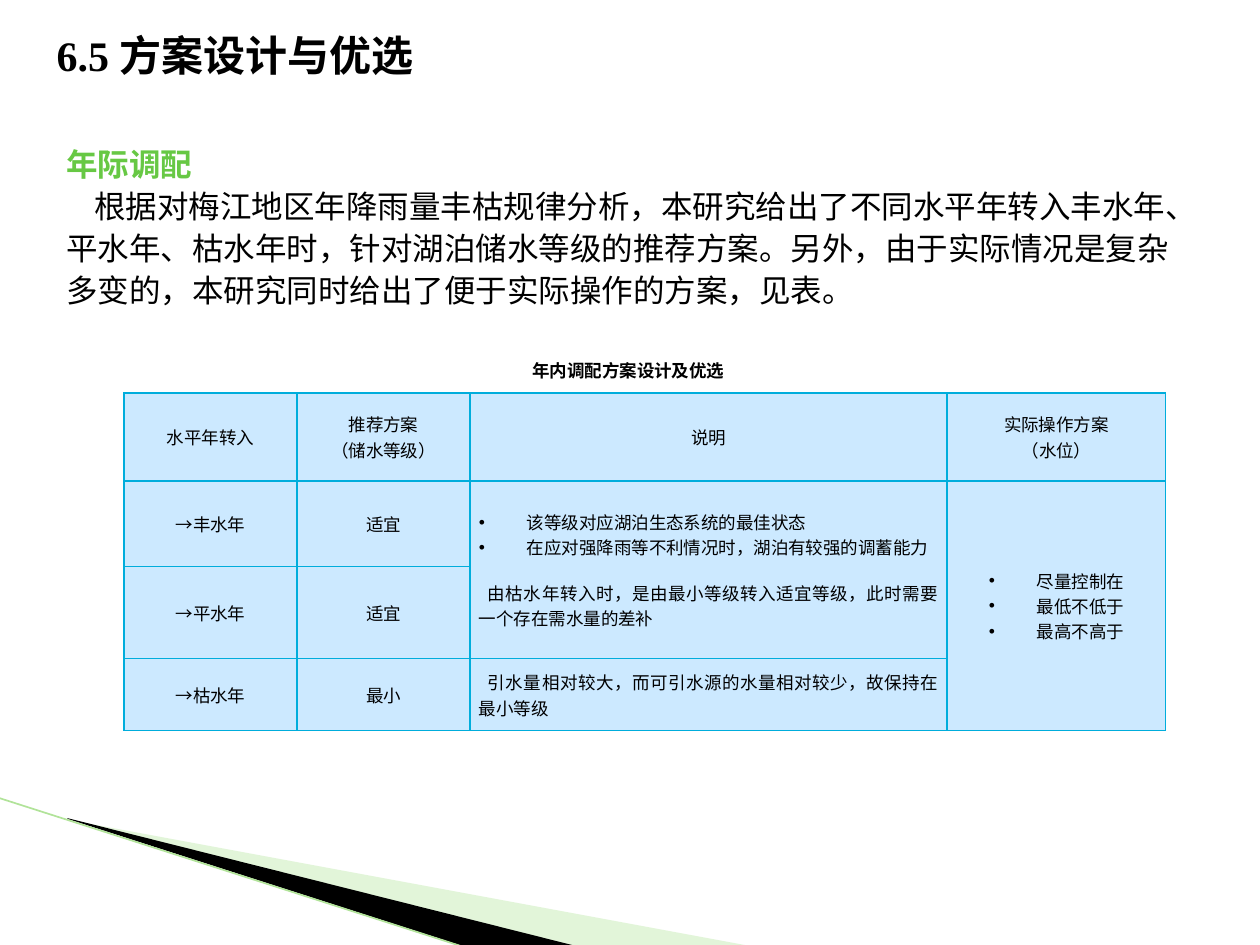
import pptx
import pptx.util
import pptx.dml.color
import pptx.enum.text
import pptx.oxml
import pptx.oxml.ns
from lxml import etree

RGB = pptx.dml.color.RGBColor
ALIGN = pptx.enum.text.PP_ALIGN
MID = pptx.enum.text.MSO_ANCHOR.MIDDLE
Pt = pptx.util.Pt
qn = pptx.oxml.ns.qn

SCALE = 914400 / 126
BLACK = RGB(0, 0, 0)
GREEN = RGB(0x67, 0xC8, 0x44)
PALE = RGB(0xB8, 0xE7, 0xA1)
EDGE = RGB(0xB1, 0xE3, 0x99)
CELL = RGB(0xCC, 0xE9, 0xFF)
RULE = RGB(0x00, 0xAD, 0xDC)
CJK = "Noto Sans CJK SC"


def px(n):
    return round(n * SCALE)


def style(para, size, face, color=BLACK, bold=False):
    for run in para.runs:
        font = run.font
        font.size, font.name, font.bold = Pt(size), face, bold
        font.color.rgb = color
        east = etree.Element(qn("a:ea"), typeface=CJK)
        run._r.rPr.find(qn("a:latin")).addnext(east)


def indent(para, left, first):
    props = para._p.get_or_add_pPr()
    props.set("marL", str(px(left)))
    props.set("indent", str(px(first)))
    return props


def bullet(para):
    props = indent(para, 48, -48)
    etree.SubElement(props, qn("a:buFont"), typeface="Arial")
    etree.SubElement(props, qn("a:buChar"), char="•")
    tabs = etree.SubElement(props, qn("a:tabLst"))
    etree.SubElement(tabs, qn("a:tab"), pos=str(px(10)), algn="l")


# Corner wedges and the thin line beside them
def wedge(slide, x, y, points, color, alpha=None):
    build = slide.shapes.build_freeform(0, 0, scale=SCALE)
    build = slide.shapes.build_freeform(x, y, scale=SCALE)
    build.add_line_segments([(x + dx, y + dy) for dx, dy in points])
    shape = build.convert_to_shape()
    shape.shadow.inherit = False
    shape.fill.solid()
    shape.fill.fore_color.rgb = color
    shape.line.fill.background()
    if alpha:
        tint = shape.fill._xPr.find(".//" + qn("a:srgbClr"))
        etree.SubElement(tint, qn("a:alpha"), val=str(alpha * 1000))


def corner(slide, x, y):
    wedge(slide, x + 70, y + 22, [(681, 126), (506, 126), (0, -1)], PALE, 40)
    wedge(slide, x + 68, y + 20, [(509, 128), (402, 130), (1, 1)], BLACK)
    line = slide.shapes.add_connector(1, px(x), px(y), px(x + 468), px(y + 150))
    line.line.color.rgb = EDGE
    line.line.width = Pt(0.95)
    etree.SubElement(line._element.spPr, qn("a:effectLst"))


def heading(slide, x, y, w, h):
    title = slide.shapes.title
    title.left, title.top, title.width, title.height = map(px, (x, y, w, h))
    frame = title.text_frame
    frame.text = "6.5 方案设计与优选"
    frame.vertical_anchor = MID
    para = frame.paragraphs[0]
    para.alignment = ALIGN.LEFT
    style(para, 24, "Times New Roman", bold=True)


def intro(slide, x, y, w, h):
    frame = slide.shapes.add_textbox(px(x), px(y), px(w), px(h)).text_frame
    frame.word_wrap = True
    frame.text = (
        "年际调配\n"
        "根据对梅江地区年降雨量丰枯规律分析，本研究给出了不同水平年转入丰水年、"
        "平水年、枯水年时，针对湖泊储水等级的推荐方案。另外，由于实际情况是"
        "复杂多变的，本研究同时给出了便于实际操作的方案，见表。"
    )
    head, body = frame.paragraphs
    head.line_spacing = body.line_spacing = Pt(24)
    style(head, 18, CJK, GREEN, True)
    indent(body, 0, 28)
    style(body, 18, CJK)


def caption(slide, x, y, w, h):
    frame = slide.shapes.add_textbox(px(x), px(y), px(w), px(h)).text_frame
    frame.word_wrap = False
    frame.text = "年内调配方案设计及优选"
    style(frame.paragraphs[0], 10, "Arial", bold=True)


def border(cell):
    props = cell._tc.get_or_add_tcPr()
    for spot, side in enumerate(("lnL", "lnR", "lnT", "lnB")):
        line = etree.Element(qn("a:" + side), w=str(Pt(0.75)))
        fill = etree.SubElement(line, qn("a:solidFill"))
        etree.SubElement(fill, qn("a:srgbClr"), val=str(RULE))
        props.insert(spot, line)


# Lines starting with * are bullets, with > are indented notes
def fill(cell, text):
    marks = [row[0] for row in text.split("\n")] if text else []
    cell.text_frame.text = "\n".join(row.lstrip("*>") for row in text.split("\n"))
    cell.vertical_anchor = MID
    cell.margin_left = cell.margin_right = px(9)
    cell.margin_top = cell.margin_bottom = 0
    cell.fill.solid()
    cell.fill.fore_color.rgb = CELL
    border(cell)
    for spot, (para, mark) in enumerate(zip(cell.text_frame.paragraphs, marks)):
        para.alignment = ALIGN.JUSTIFY if ">" in marks else ALIGN.CENTER
        if mark == "*":
            bullet(para)
        elif mark == ">":
            indent(para, 0, 9)
            if spot:
                para.space_before = Pt(11.5)
        style(para, 10, "Arial")


def plans(slide, x, y, cols, rows):
    data = [
        ["水平年转入", "推荐方案\n（储水等级）", "说明", "实际操作方案\n（水位）"],
        ["→丰水年", "适宜",
         "*该等级对应湖泊生态系统的最佳状态\n"
         "*在应对强降雨等不利情况时，湖泊有较强的调蓄能力\n"
         ">由枯水年转入时，是由最小等级转入适宜等级，此时需要一个存在需水量的差补",
         "*尽量控制在\n*最低不低于\n*最高不高于"],
        ["→平水年", "适宜", "", ""],
        ["→枯水年", "最小",
         ">引水量相对较大，而可引水源的水量相对较少，故保持在最小等级", ""],
    ]
    table = slide.shapes.add_table(
        len(rows), len(cols), px(x), px(y), px(sum(cols)), px(sum(rows))).table
    table.first_row = table.horz_banding = False
    for col, w in zip(table.columns, cols):
        col.width = px(w)
    for row, h, texts in zip(table.rows, rows, data):
        row.height = px(h)
        for cell, text in zip(row.cells, texts):
            fill(cell, text)
    table.cell(1, 2).merge(table.cell(2, 2))
    table.cell(1, 3).merge(table.cell(3, 3))


def main():
    deck = pptx.Presentation()
    deck.slide_width, deck.slide_height = px(1260), px(945)
    slide = deck.slides.add_slide(deck.slide_layouts[5])
    corner(slide, -1, 798)
    heading(slide, 44, 27, 1134, 55)
    intro(slide, 54, 135, 1154, 183)
    plans(slide, 124, 393, [173, 173, 477, 219], [88, 86, 92, 72])
    caption(slide, 520, 354, 219, 34)
    deck.save("out.pptx")


if __name__ == "__main__":
    main()
